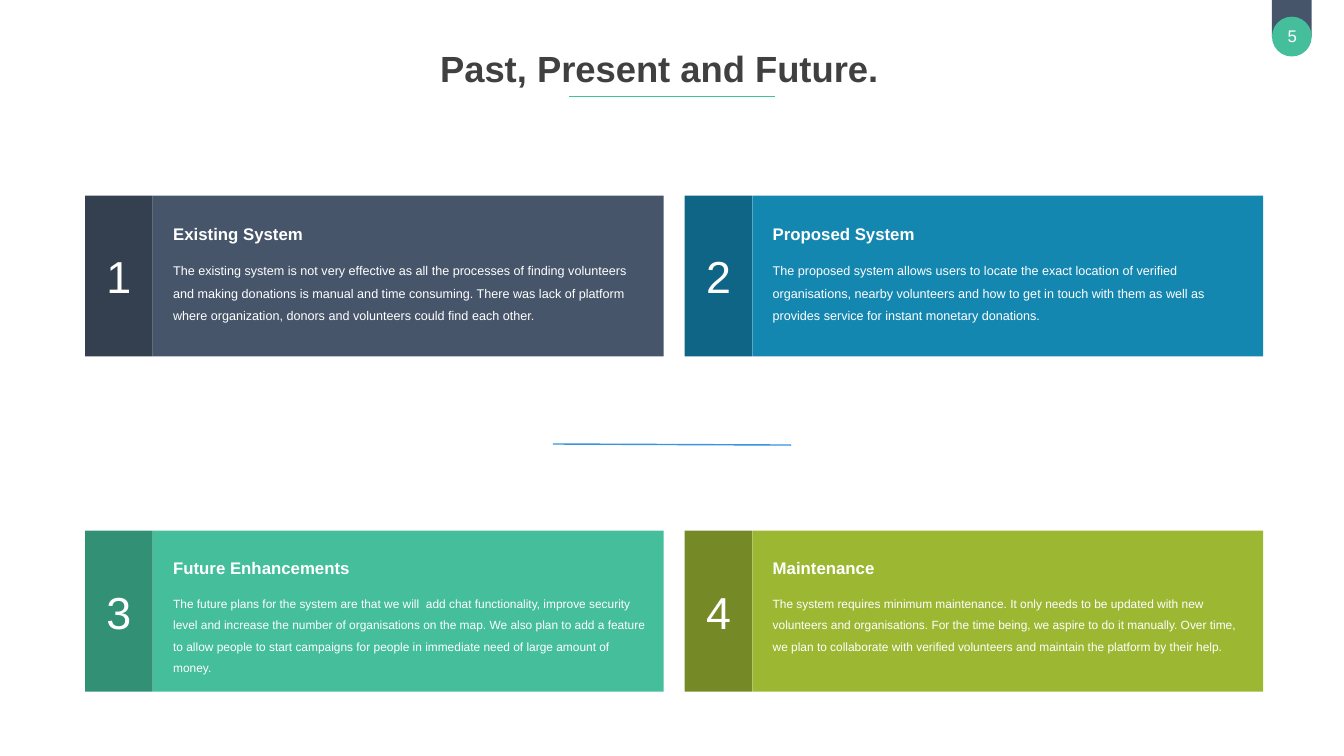
from dataclasses import dataclass

from pptx import Presentation
from pptx import util as u
from pptx.dml.color import RGBColor
from pptx.enum import shapes, text
from pptx.oxml.ns import qn
from pptx.util import Pt

COLORS = {
    "slate": "46556A", "slate_dark": "34404F",
    "blue": "1487B1", "blue_dark": "0F6585",
    "green": "44BE9B", "green_dark": "329075",
    "olive": "9CB833", "olive_dark": "758A26",
    "title": "404040", "divider": "3893E0", "white": "FFFFFF",
}
FONT = "Arial"
INSET = 8

CARD_LEFT, COLUMN_STEP = 121.7, 856.6
NUMBER_WIDTH, PANEL_WIDTH, CARD_HEIGHT = 96.5, 730, 229.7
TEXT_INDENT, TEXT_WIDTH = 125.7, 679.7
HEADING_HEIGHT, DETAIL_HEIGHT, DETAIL_STEP = 53.3, 120.2, 57.6


@dataclass(frozen=True)
class Row:
    top: float
    heading_offset: float
    detail_size: float


@dataclass(frozen=True)
class Card:
    heading: str
    detail: str
    color: str


@dataclass(frozen=True)
class Style:
    size: float
    color: str = "white"
    bold: bool = False
    align: text.PP_ALIGN = text.PP_ALIGN.LEFT
    anchor: text.MSO_ANCHOR = text.MSO_ANCHOR.MIDDLE
    inset: float = INSET
    line_spacing: float = 1.0
    wrap: bool = True


ROWS = [Row(279.4, 28, 18), Row(758.2, 25.9, 17)]
CARDS = [
    Card("Existing System",
         "The existing system is not very effective as all the processes of finding "
         "volunteers and making donations is manual and time consuming. There was lack "
         "of platform where organization, donors and volunteers could find each other.",
         "slate"),
    Card("Proposed System",
         "The proposed system allows users to locate the exact location of verified "
         "organisations, nearby volunteers and how to get in touch with them as well as "
         "provides service for instant monetary donations.",
         "blue"),
    Card("Future Enhancements",
         "The future plans for the system are that we will  add chat functionality, "
         "improve security level and increase the number of organisations on the map. "
         "We also plan to add a feature to allow people to start campaigns for people "
         "in immediate need of large amount of money.",
         "green"),
    Card("Maintenance",
         "The system requires minimum maintenance. It only needs to be updated with new "
         "volunteers and organisations. For the time being, we aspire to do it manually. "
         "Over time, we plan to collaborate with verified volunteers and maintain the "
         "platform by their help.",
         "olive"),
]


def rgb(name: str) -> RGBColor:
    return RGBColor.from_string(COLORS[name])


def points(*values: float) -> list[u.Length]:
    return [Pt(value) for value in values]


def write(shape, words: str, style: Style) -> None:
    frame = shape.text_frame
    frame.word_wrap = style.wrap
    frame.vertical_anchor = style.anchor
    frame.margin_left = frame.margin_right = Pt(0)
    frame.margin_top = frame.margin_bottom = Pt(style.inset)
    paragraph = frame.paragraphs[0]
    paragraph.text = words
    paragraph.alignment = style.align
    paragraph.line_spacing = style.line_spacing
    font = paragraph.font
    font.name, font.size, font.bold = FONT, Pt(style.size), style.bold
    font.color.rgb = rgb(style.color)


def add_label(slide, box: tuple, words: str, style: Style) -> None:
    write(slide.shapes.add_textbox(*points(*box)), words, style)


def add_block(slide, box: tuple, color: str, kind=shapes.MSO_SHAPE.RECTANGLE):
    block = slide.shapes.add_shape(kind, *points(*box))
    block.shadow.inherit = False
    block.fill.solid()
    block.fill.fore_color.rgb = rgb(color)
    block.line.fill.background()
    return block


def add_rule(slide, ends: tuple, color: str) -> None:
    rule = slide.shapes.add_connector(shapes.MSO_CONNECTOR.STRAIGHT, *points(*ends))
    rule.line.color.rgb = rgb(color)
    rule.line.width = Pt(2)
    properties = rule._element.spPr
    properties.append(properties.makeelement(qn("a:effectLst"), {}))


def add_page_badge(slide) -> None:
    add_block(slide, (1817.3, 0, 56.9, 52.6), "slate")
    badge = add_block(slide, (1817.3, 23.8, 56.9, 56.9), "green",
                      shapes.MSO_SHAPE.ROUNDED_RECTANGLE)
    badge.adjustments[0] = 0.5
    add_label(slide, (1831, 27.4, 31, 46), "5",
              Style(24, align=text.PP_ALIGN.CENTER, inset=0, wrap=False))


def add_card(slide, index: int, card: Card) -> None:
    row_index, column = divmod(index, 2)
    row = ROWS[row_index]
    left = CARD_LEFT + column * COLUMN_STEP
    heading_top = row.top + row.heading_offset
    add_block(slide, (left + NUMBER_WIDTH, row.top, PANEL_WIDTH, CARD_HEIGHT), card.color)
    number = add_block(slide, (left, row.top, NUMBER_WIDTH, CARD_HEIGHT),
                       f"{card.color}_dark")
    write(number, str(index + 1), Style(64, align=text.PP_ALIGN.CENTER))
    add_label(slide, (left + TEXT_INDENT, heading_top, TEXT_WIDTH, HEADING_HEIGHT),
              card.heading, Style(24, bold=True))
    add_label(slide, (left + TEXT_INDENT, heading_top + DETAIL_STEP, TEXT_WIDTH, DETAIL_HEIGHT),
              card.detail,
              Style(row.detail_size, anchor=text.MSO_ANCHOR.TOP, inset=0, line_spacing=1.5))


def main() -> None:
    deck = Presentation()
    deck.slide_width, deck.slide_height = points(1920.24, 1080)
    slide = deck.slides.add_slide(deck.slide_layouts[6])
    add_page_badge(slide)
    add_rule(slide, (1107.4, 137.5, 813.6, 137.5), "green")
    add_label(slide, (100.8, 62.6, 1682.6, 67.7), "Past, Present and Future.",
              Style(52, "title", bold=True, align=text.PP_ALIGN.CENTER))
    for index, card in enumerate(CARDS):
        add_card(slide, index, card)
    add_rule(slide, (789.8, 634.3, 1130.4, 635.8), "divider")
    deck.save("out.pptx")


if __name__ == "__main__":
    main()
